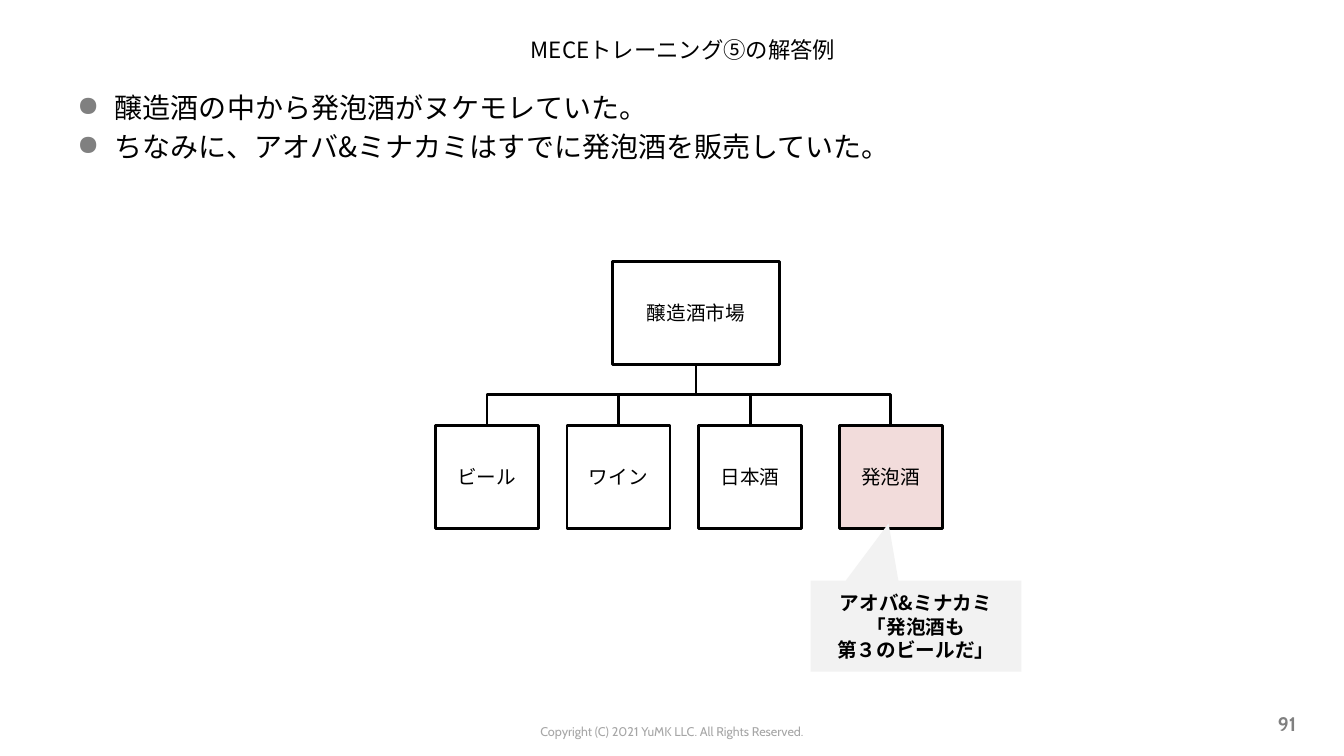
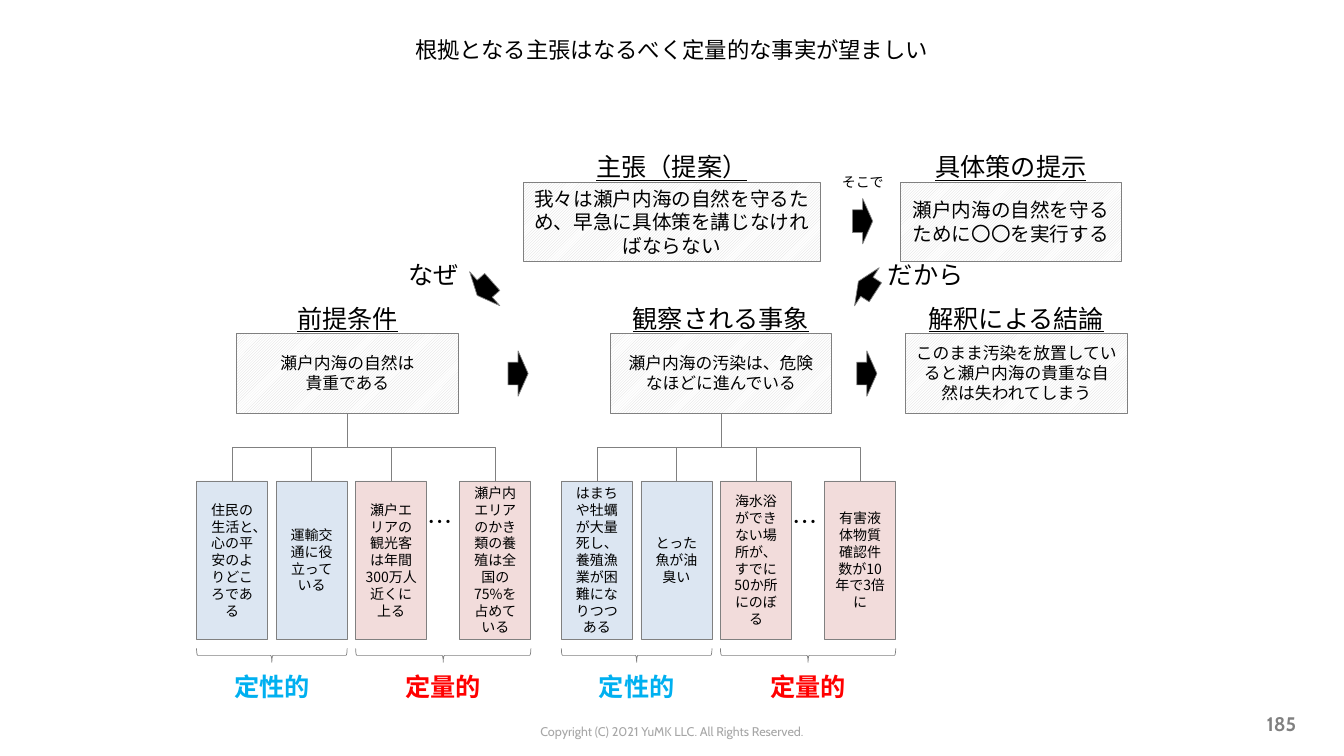
from lxml import etree
from pptx import Presentation
from pptx.dml.color import RGBColor
from pptx.enum import dml, shapes, text
from pptx.oxml.ns import qn
from pptx.util import Pt

COLORS = {
    "black": "000000", "white": "FFFFFF", "gray": "808080",
    "footer": "A6A6A6", "hatch": "D9D9D9", "callout": "F2F2F2",
    "pink": "F2DCDB", "pale_blue": "DCE6F2", "red": "FF0000", "blue": "00B0F0",
}
JAPANESE, LATIN = "Noto Sans CJK JP", "Cabin"
SHAPE, ALIGN, ANCHOR = shapes.MSO_SHAPE, text.PP_ALIGN, text.MSO_ANCHOR


def rgb(name):
    return RGBColor.from_string(COLORS[name])


def write(shape, lines, size, color="black", bold=None, underline=None, font=JAPANESE,
          align=ALIGN.CENTER, anchor=ANCHOR.MIDDLE, wrap=True, bullet=False):
    """Fill a shape with one paragraph per line."""
    frame = shape.text_frame
    frame.word_wrap = wrap
    frame.vertical_anchor = anchor
    for index, line in enumerate(lines.split("\n")):
        paragraph = frame.paragraphs[0] if index == 0 else frame.add_paragraph()
        paragraph.add_run().text = line
        paragraph.alignment = align
        properties = paragraph._p.get_or_add_pPr()
        if bullet:
            if index:
                paragraph.space_before = Pt(size * 0.2)
            properties.set("marL", str(Pt(27)))
            properties.set("indent", str(-Pt(27)))
            bullet_color = etree.SubElement(properties, qn("a:buClr"))
            etree.SubElement(bullet_color, qn("a:srgbClr"), val=COLORS["gray"])
            etree.SubElement(properties, qn("a:buChar"), char="●")
        style = paragraph.font
        style.size, style.bold, style.underline = Pt(size), bold, underline
        style.color.rgb = rgb(color)
        style.name = font
        etree.SubElement(properties.find(qn("a:defRPr")), qn("a:ea"), typeface=font)


def add_text(slide, box, lines, size, **style):
    shape = slide.shapes.add_textbox(*map(Pt, box))
    write(shape, lines, size, **style)
    return shape


def add_label(slide, center, top, words, size=18, **style):
    """One unwrapped line centred on a point."""
    width = len(words) * size + 15
    add_text(slide, (center - width / 2, top, width, size * 1.6), words, size,
             wrap=False, anchor=ANCHOR.TOP, **style)


def add_box(slide, box, fill=None, line="gray", weight=0.5, kind=SHAPE.RECTANGLE):
    shape = slide.shapes.add_shape(kind, *map(Pt, box))
    shape.shadow.inherit = False
    if fill == "hatch":
        shape.fill.patterned()
        shape.fill.pattern = dml.MSO_PATTERN.LIGHT_UPWARD_DIAGONAL
        shape.fill.fore_color.rgb = rgb("hatch")
        shape.fill.back_color.rgb = rgb("white")
    elif fill:
        shape.fill.solid()
        shape.fill.fore_color.rgb = rgb(fill)
    else:
        shape.fill.background()
    if line:
        shape.line.color.rgb = rgb(line)
        shape.line.width = Pt(weight)
    else:
        shape.line.fill.background()
    return shape


def add_branch(slide, parent, child, color, weight):
    """Elbow from the bottom of the parent down to the top of the child."""
    start_x, start_y = parent.left + parent.width // 2, parent.top + parent.height
    end_x, end_y = child.left + child.width // 2, child.top
    connector = slide.shapes.add_connector(
        shapes.MSO_CONNECTOR.ELBOW, start_x, start_y, end_x, end_y)
    connector.begin_connect(parent, 2)
    connector.end_connect(child, 0)
    # Turn the elbow so that it leaves vertically
    drop, span = end_y - start_y, abs(end_x - start_x)
    connector.left = (start_x + end_x - drop) // 2
    connector.top = (start_y + end_y - span) // 2
    connector.width, connector.height = drop, span
    to_right = end_x > start_x
    transform = connector.element.spPr.find(qn("a:xfrm"))
    transform.set("rot", str((270 if to_right else 90) * 60000))
    transform.set("flipH", "1" if to_right else "0")
    connector.line.color.rgb = rgb(color)
    connector.line.width = Pt(weight)
    etree.SubElement(connector.element.spPr, qn("a:effectLst"))


def add_page(presentation, title, number):
    """Blank slide with the shared title, footer and page number."""
    slide = presentation.slides.add_slide(presentation.slide_layouts[6])
    add_text(slide, (302.4, 513.4, 355, 18), "Copyright (C) 2021 YuMK LLC. All Rights Reserved.",
             9, color="footer", font=LATIN, anchor=ANCHOR.TOP)
    add_text(slide, (48, 16, 864, 39), title, 16)
    add_text(slide, (709, 502.6, 224, 29), number, 14, color="gray", bold=True,
             font=LATIN, align=ALIGN.RIGHT)
    return slide


def add_market_tree(slide, left, top):
    """Market box with its four kinds of drink and a callout."""
    style = {"line": "black", "weight": 2}
    market = add_box(slide, (left + 126.4, top, 119.4, 73.6), "white", **style)
    write(market, "醸造酒市場", 14)
    drinks = [("ビール", 0, "white"), ("ワイン", 94, "white"),
              ("日本酒", 188, "white"), ("発泡酒", 288.4, "pink")]
    for name, offset, fill in drinks:
        drink = add_box(slide, (left + offset, top + 117.4, 73.6, 73.6), fill, **style)
        write(drink, name, 14)
        add_branch(slide, market, drink, "black", 2)
    callout = add_box(slide, (left + 268, top + 228.2, 150.5, 65), "callout", line=None,
                      kind=SHAPE.RECTANGULAR_CALLOUT)
    callout.adjustments[0], callout.adjustments[1] = -0.13, -1.13
    write(callout, "アオバ&ミナカミ\n「発泡酒も\n第３のビールだ」", 14, bold=True)


def add_claim(slide, box, heading, words, size=12):
    """Hatched box under an underlined heading."""
    left, top, width, height = box
    claim = add_box(slide, box, "hatch")
    write(claim, words, size)
    add_label(slide, left + width / 2, top - 25.2, heading, underline=True)
    return claim


def add_evidence(slide, left, top, claim, facts):
    """Four facts below a claim: two qualitative, two quantitative."""
    width, height = 50.8, 113
    offsets = (0, 56.8, 113.6, 188)
    for index, (offset, fact) in enumerate(zip(offsets, facts)):
        card = add_box(slide, (left + offset, top, width, height),
                       "pale_blue" if index < 2 else "pink")
        write(card, fact, 10)
        add_branch(slide, claim, card, "gray", 0.5)
    add_label(slide, left + 174, top + 14.4, "…")
    pairs = [("定性的", "blue", offsets[:2]), ("定量的", "red", offsets[2:])]
    for name, color, (first, last) in pairs:
        span = last + width - first
        center = left + first + span / 2
        brace = add_box(slide, (center - 5, top + height + 11.5 - span / 2, 10, span),
                        kind=SHAPE.LEFT_BRACE)
        brace.rotation = 270
        add_label(slide, center, top + 132.5, name, color=color, bold=True)


def add_arrow(slide, left, top, rotation=0):
    arrow = add_box(slide, (left, top, 14.4, 32.4), "black", kind=SHAPE.RIGHT_ARROW)
    arrow.rotation = rotation


def build_answer_slide(presentation):
    slide = add_page(presentation, "　MECEトレーニング⑤の解答例", "91")
    add_market_tree(slide, 311, 186.6)
    add_text(slide, (48, 61.2, 864, 80),
             "醸造酒の中から発泡酒がヌケモレていた。\n"
             "ちなみに、アオバ&ミナカミはすでに発泡酒を販売していた。",
             20, align=ALIGN.LEFT, anchor=ANCHOR.TOP, bullet=True)


def build_argument_slide(presentation):
    slide = add_page(presentation, "根拠となる主張はなるべく定量的な事実が望ましい", "185")
    # Proposal and measures
    add_claim(slide, (373.7, 130, 212.4, 57), "主張（提案）",
              "我々は瀬戸内海の自然を守るため、早急に具体策を講じなければならない", 14)
    add_claim(slide, (643, 130, 158, 57), "具体策の提示",
              "瀬戸内海の自然を守るために〇〇を実行する", 14)
    # Reasoning row
    row_top = 238
    premise = add_claim(slide, (169.2, row_top, 158, 57), "前提条件",
                        "瀬戸内海の自然は\n貴重である")
    observation = add_claim(slide, (436, row_top, 158, 57), "観察される事象",
                            "瀬戸内海の汚染は、危険なほどに進んでいる")
    add_claim(slide, (647, row_top, 158, 57), "解釈による結論",
              "このまま汚染を放置していると瀬戸内海の貴重な自然は失われてしまう")
    # Evidence below the row
    add_evidence(slide, 140.4, 343.6, premise, (
        "住民の生活と、心の平安のよりどころである", "運輸交通に役立っている",
        "瀬戸エリアの観光客は年間300万人近くに上る",
        "瀬戸内エリアのかき類の養殖は全国の75%を占めている"))
    add_evidence(slide, 401, 343.6, observation, (
        "はまちや牡蠣が大量死し、養殖漁業が困難になりつつある", "とった魚が油臭い",
        "海水浴ができない場所が、すでに50か所にのぼる",
        "有害液体物質確認件数が10年で3倍に"))
    # Arrows and the words beside them
    for arrow in ((362.9, 250.6), (612, 250.6), (609, 141.8),
                  (612, 188.6, 212.9), (339, 190, 138.4)):
        add_arrow(slide, *arrow)
    add_label(slide, 616.3, 120.2, "そこで", size=10)
    add_label(slide, 309.6, 181.4, "なぜ")
    add_label(slide, 661.3, 181.4, "だから")


def main():
    presentation = Presentation()
    presentation.slide_width, presentation.slide_height = Pt(960), Pt(540)
    build_answer_slide(presentation)
    build_argument_slide(presentation)
    presentation.save("out.pptx")


if __name__ == "__main__":
    main()
